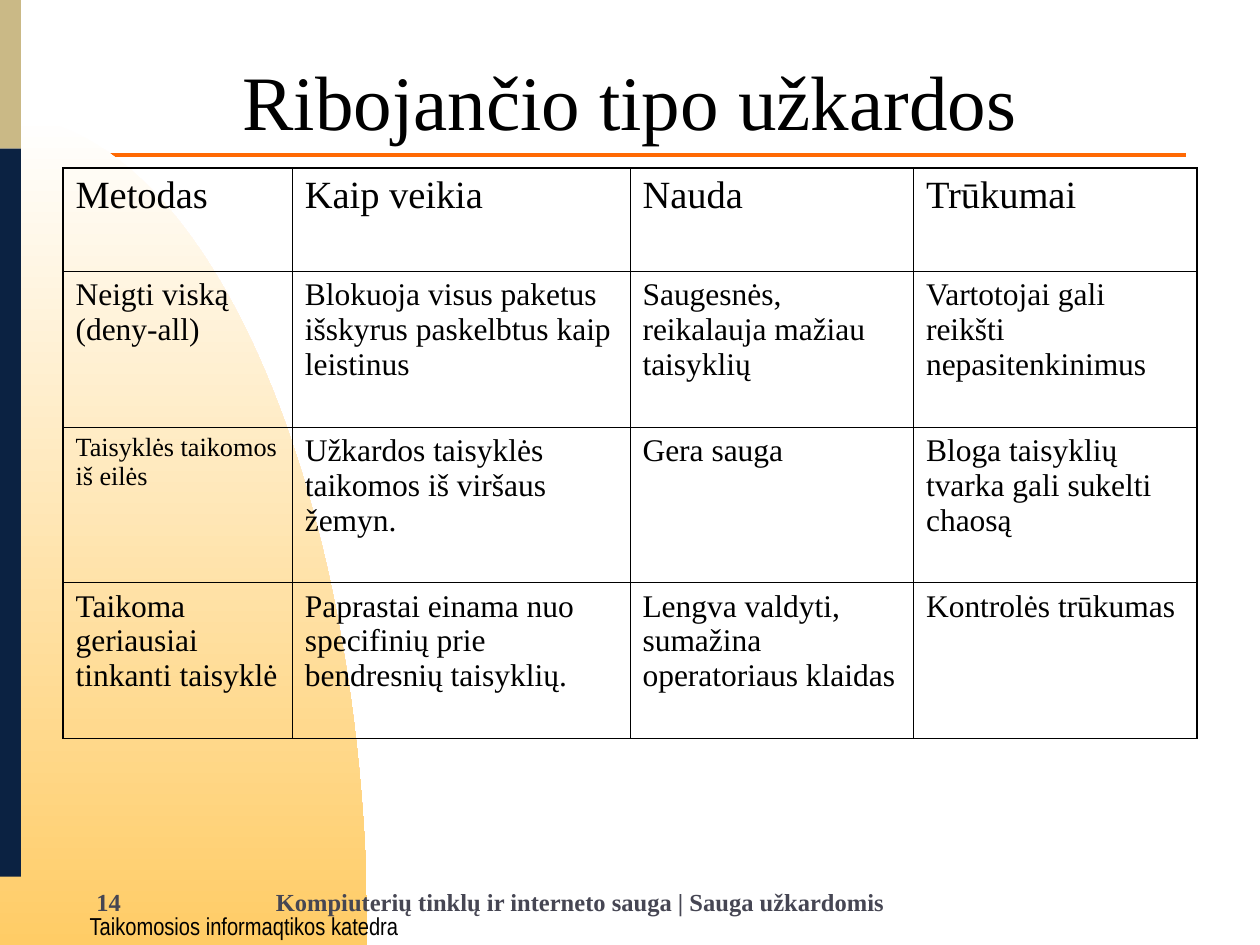
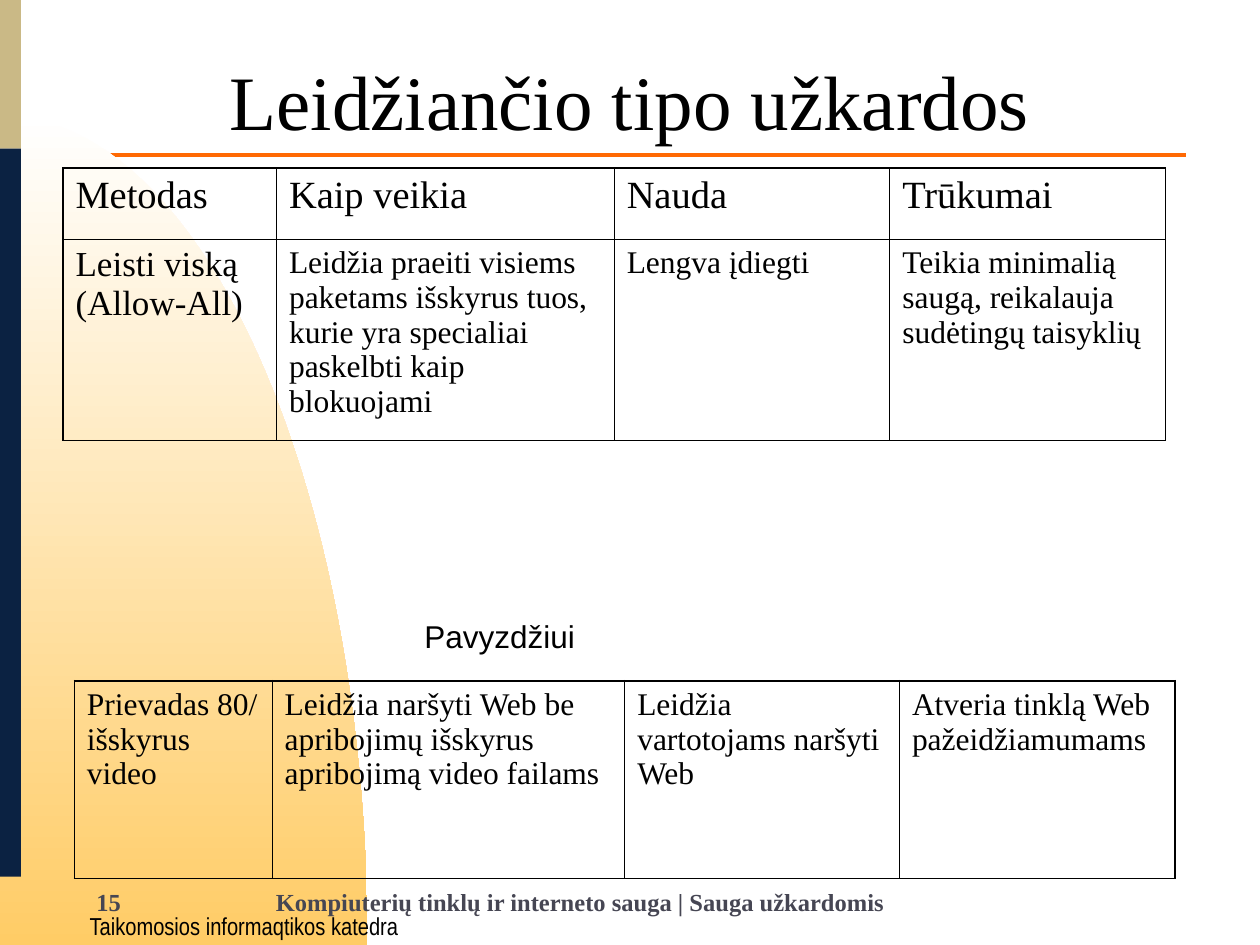
from pptx import Presentation
from pptx.dml.color import RGBColor
from pptx.enum.shapes import MSO_CONNECTOR as Connector, MSO_SHAPE as Shape
from pptx.enum.text import MSO_ANCHOR as Anchor, PP_ALIGN as Align
from pptx.oxml.ns import qn
from pptx.util import Pt
from lxml.etree import SubElement

BLACK = RGBColor(0x00, 0x00, 0x00)
WHITE = RGBColor(0xFF, 0xFF, 0xFF)
SLATE = RGBColor(0x46, 0x46, 0x53)
ORANGE = RGBColor(0xFF, 0x69, 0x03)
AMBER = RGBColor(0xFF, 0xCC, 0x66)
SAND = RGBColor(0xCA, 0xB9, 0x86)
NAVY = RGBColor(0x0B, 0x22, 0x42)
SERIF = "Times New Roman"
OUTER_LINE, INNER_LINE = 1.08, 0.45
HEADINGS = ["Metodas", "Kaip veikia", "Nauda", "Trūkumai"]

slides = [
    {
        "title": "Ribojančio tipo užkardos",
        "number": "14",
        "tables": [{
            "at": (36, 96),
            "columns": [131, 193, 162, 162],
            "heights": [59, 89, 89, 89],
            "sizes": {(0, 0): 22, (0, 1): 22, (0, 2): 22, (0, 3): 22, (2, 0): 15},
            "rows": [
                HEADINGS,
                ["Neigti viską (deny-all)",
                 "Blokuoja visus paketus išskyrus paskelbtus kaip leistinus",
                 "Saugesnės, reikalauja mažiau taisyklių",
                 "Vartotojai gali reikšti nepasitenkinimus"],
                ["Taisyklės taikomos iš eilės",
                 "Užkardos taisyklės taikomos iš viršaus žemyn.",
                 "Gera sauga",
                 "Bloga taisyklių tvarka gali sukelti chaosą"],
                ["Taikoma geriausiai tinkanti taisyklė",
                 "Paprastai einama nuo specifinių prie bendresnių taisyklių.",
                 "Lengva valdyti, sumažina operatoriaus klaidas",
                 "Kontrolės trūkumas"],
            ],
        }],
    },
    {
        "title": "Leidžiančio tipo užkardos",
        "number": "15",
        "label": "Pavyzdžiui",
        "tables": [
            {
                "at": (36, 96),
                "columns": [122, 193, 157.5, 157.5],
                "heights": [40.5, 115],
                "sizes": {(0, 0): 22, (0, 1): 22, (0, 2): 22, (0, 3): 22, (1, 0): 20},
                "rows": [
                    HEADINGS,
                    ["Leisti viską (Allow-All)",
                     "Leidžia praeiti visiems paketams išskyrus tuos, "
                     "kurie yra specialiai paskelbti kaip blokuojami",
                     "Lengva įdiegti",
                     "Teikia minimalią saugą, reikalauja sudėtingų taisyklių"],
                ],
            },
            {
                "at": (42.5, 389),
                "columns": [113, 201.5, 157, 157.5],
                "heights": [113],
                "sizes": {},
                "rows": [
                    ["Prievadas 80/ išskyrus video",
                     "Leidžia naršyti Web be apribojimų išskyrus apribojimą video failams",
                     "Leidžia vartotojams naršyti Web",
                     "Atveria tinklą Web pažeidžiamumams"],
                ],
            },
        ],
    },
]


def write(frame, text, size=18, font=SERIF, color=BLACK, bold=False, align=Align.LEFT):
    frame.word_wrap = True
    para = frame.paragraphs[0]
    para.alignment = align
    span = para.add_run()
    span.text = text
    span.font.size = Pt(size)
    span.font.name = font
    span.font.color.rgb = color
    span.font.bold = bold


def add_box(page, left, top, width, height, text, anchor=Anchor.MIDDLE, **style):
    box = page.shapes.add_textbox(Pt(left), Pt(top), Pt(width), Pt(height))
    write(box.text_frame, text, **style)
    box.text_frame.vertical_anchor = anchor
    return box


deck = Presentation()
deck.slide_width, deck.slide_height = Pt(720), Pt(540)

for content in slides:
    page = deck.slides.add_slide(deck.slide_layouts[6])

    rule = page.shapes.add_connector(Connector.STRAIGHT, Pt(30), Pt(88.5), Pt(678), Pt(88.5))
    rule.line.color.rgb = ORANGE
    rule.line.width = Pt(2.25)
    SubElement(rule._element.spPr, qn("a:effectLst"))

    steps = [step / 60 for step in range(1, 61)]
    curve = [
        (Pt(3 * t * (1 - t) ** 2 * 0 + 3 * t ** 2 * (1 - t) * 210 + t ** 3 * 210
            + 3 * t * (1 - t) ** 2 * 116),
         Pt((1 - t) ** 3 * 66 + 3 * t * (1 - t) ** 2 * 66
            + 3 * t ** 2 * (1 - t) * 279 + t ** 3 * 540))
        for t in steps
    ]
    builder = page.shapes.build_freeform(Pt(0), Pt(66))
    builder.add_line_segments(curve + [(Pt(0), Pt(540))], close=True)
    arc = builder.convert_to_shape()
    arc.shadow.inherit = False
    arc.line.fill.background()
    arc.fill.gradient()
    arc.fill.gradient_angle = 270
    for stop, position, color in zip(arc.fill.gradient_stops, (0, 1), (WHITE, AMBER)):
        stop.position = position
        stop.color.rgb = color

    department = add_box(page, 49.5, 520, 180, 18.5, "Taikomosios informaqtikos katedra",
                         size=14, font="Arial Narrow", align=Align.CENTER)
    frame = department.text_frame
    frame.margin_left = frame.margin_right = frame.margin_top = frame.margin_bottom = Pt(0.7)

    for top, height, color in ((0, 85, SAND), (85, 416, NAVY)):
        band = page.shapes.add_shape(Shape.RECTANGLE, Pt(0), Pt(top), Pt(12), Pt(height))
        band.shadow.inherit = False
        band.fill.solid()
        band.fill.fore_color.rgb = color
        band.line.fill.background()

    for left, width, text in (
        (150.5, 414, "Kompiuterių tinklų ir interneto sauga | Sauga užkardomis"),
        (48, 102, content["number"]),
    ):
        add_box(page, left, 500.5, width, 29, text, size=14, color=SLATE, bold=True)

    title = add_box(page, 36, 21.5, 648, 90, content["title"], anchor=Anchor.TOP,
                    size=44, align=Align.CENTER)
    title.text_frame.margin_top = Pt(9)

    if "label" in content:
        add_box(page, 235.5, 349, 153, 29, content["label"], font="Arial")

    for plan in content["tables"]:
        columns, heights = plan["columns"], plan["heights"]
        left, top = plan["at"]
        table = page.shapes.add_table(len(heights), len(columns), Pt(left), Pt(top),
                                      Pt(sum(columns)), Pt(sum(heights))).table
        table.first_row = table.horz_banding = False
        for column, width in zip(table.columns, columns):
            column.width = Pt(width)
        for row, height in zip(table.rows, heights):
            row.height = Pt(height)
        last_row, last_column = len(heights) - 1, len(columns) - 1
        for r, texts in enumerate(plan["rows"]):
            for c, text in enumerate(texts):
                cell = table.cell(r, c)
                write(cell.text_frame, text, size=plan["sizes"].get((r, c), 18))
                properties = cell._tc.get_or_add_tcPr()
                for side, is_outer in (("L", c == 0), ("R", c == last_column),
                                       ("T", r == 0), ("B", r == last_row)):
                    weight = OUTER_LINE if is_outer else INNER_LINE
                    border = SubElement(properties, qn(f"a:ln{side}"), w=str(Pt(weight)))
                    ink = SubElement(border, qn("a:solidFill"))
                    SubElement(ink, qn("a:srgbClr"), val=str(BLACK))
                cell.fill.background()

deck.save("out.pptx")
